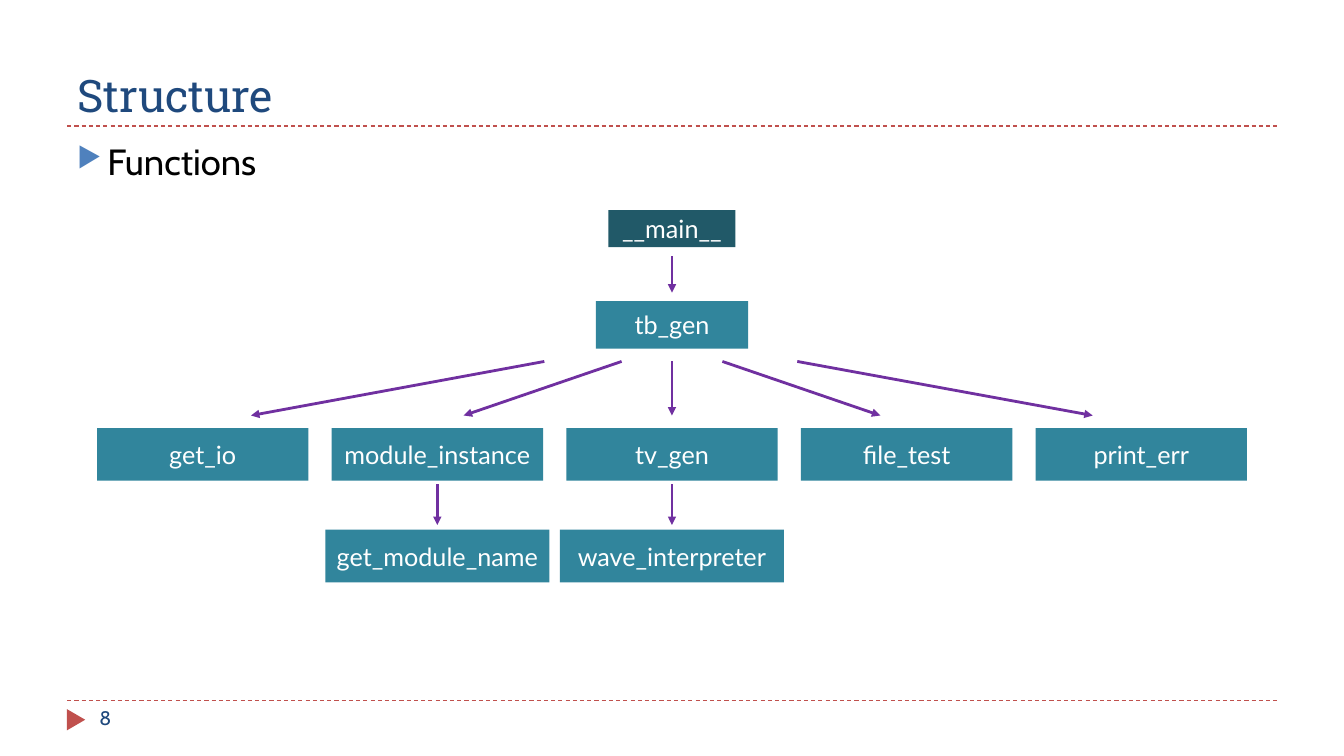
import pptx
import pptx.dml.color
import pptx.enum.dml
import pptx.enum.shapes
import pptx.enum.text
import pptx.oxml
import pptx.oxml.ns
import pptx.util

Pt = pptx.util.Pt
MSO_SHAPE = pptx.enum.shapes.MSO_SHAPE
ANCHOR = pptx.enum.text.MSO_ANCHOR
ALIGN = pptx.enum.text.PP_ALIGN

NAVY, RED, BLUE = "1F497D", "C0504D", "4F81BD"
DARK_TEAL, TEAL, PURPLE = "215968", "31859C", "7030A0"
CENTER = 480
PITCH = 167.6  # distance between the columns of the call tree


def color(value):
    return pptx.dml.color.RGBColor.from_string(value)


def xml(tag, **attrs):
    el = pptx.oxml.parse_xml(f"<a:{tag} {pptx.oxml.ns.nsdecls('a')}/>")
    for name, value in attrs.items():
        el.set(name, value)
    return el


def write(sp, text, font="Cabin", size=18, fill="FFFFFF",
          align=ALIGN.LEFT, anchor=ANCHOR.TOP):
    tf = sp.text_frame
    tf.word_wrap = True
    tf.vertical_anchor = anchor
    p = tf.paragraphs[0]
    p.alignment = align
    r = p.add_run()
    r.text = text
    r.font.name = font
    r.font.size = Pt(size)
    r.font.color.rgb = color(fill)
    return p


def add_text(s, text, x, y, w, h, **fmt):
    return write(s.shapes.add_textbox(Pt(x), Pt(y), Pt(w), Pt(h)), text, **fmt)


def add_bullet(p):
    p.space_before = Pt(6)
    pPr = p._p.get_or_add_pPr()
    pPr.set("marL", str(Pt(21.6)))
    pPr.set("indent", str(-Pt(21.6)))
    bu_color = xml("buClr")
    bu_color.append(xml("srgbClr", val=BLUE))
    pPr.extend([bu_color, xml("buSzPct", val="76000"), xml("buChar", char="▶")])


def add_shape(s, kind, x, y, w, h, fill):
    sp = s.shapes.add_shape(kind, Pt(x), Pt(y), Pt(w), Pt(h))
    sp.shadow.inherit = False
    sp.fill.solid()
    sp.fill.fore_color.rgb = color(fill)
    sp.line.fill.background()
    return sp


def add_function(s, name, center, y, w, h, fill=TEAL):
    sp = add_shape(s, MSO_SHAPE.RECTANGLE, center - w / 2, y, w, h, fill)
    write(sp, name, font="Lato", align=ALIGN.CENTER, anchor=ANCHOR.MIDDLE)


def add_line(s, x1, y1, x2, y2, stroke, width):
    c = s.shapes.add_connector(pptx.enum.shapes.MSO_CONNECTOR.STRAIGHT,
                               Pt(x1), Pt(y1), Pt(x2), Pt(y2))
    c.line.color.rgb = color(stroke)
    c.line.width = Pt(width)
    c._element.spPr.append(xml("effectLst"))
    return c


def add_rule(s, y):
    c = add_line(s, 48, y, 912, y, RED, 0.75)
    c.line.dash_style = pptx.enum.dml.MSO_LINE.DASH


def add_arrow(s, x1, y1, x2, y2):
    c = add_line(s, x1, y1, x2, y2, PURPLE, 2)
    c.line._get_or_add_ln().append(xml("tailEnd", type="triangle"))


def main():
    prs = pptx.Presentation()
    prs.slide_width, prs.slide_height = Pt(960), Pt(540)
    s = prs.slides.add_slide(prs.slide_layouts[6])

    # Frame of the page
    add_rule(s, 500.4)
    add_rule(s, 90)
    marker = add_shape(s, MSO_SHAPE.ISOSCELES_TRIANGLE, 46.8, 507.6, 15.1, 13, RED)
    marker.rotation = 90
    add_text(s, "8", 64, 500.4, 208, 28.8, size=14, fill=NAVY)

    # Title and bullet
    add_text(s, "Structure", 48, 12.2, 864, 77.8, font="Roboto Slab", size=32,
             fill=NAVY, anchor=ANCHOR.BOTTOM)
    add_bullet(add_text(s, "Functions", 48, 95.8, 864, 43.2, size=26, fill="000000"))

    # Top of the call tree
    add_function(s, "__main__", CENTER, 150, 90.7, 26.5, DARK_TEAL)
    add_arrow(s, CENTER, 183, CENTER, 209)
    add_function(s, "tb_gen", CENTER, 215, 108.7, 34)

    # Functions called by tb_gen: name, arrow start and end from the centre
    calls = [("get_io", -91.2, -300.7), ("module_instance", -36, -148.8),
             ("tv_gen", 0, 0), ("file_test", 36, 148.8), ("print_err", 89.5, 300.5)]
    for i, (name, start, end) in enumerate(calls):
        add_function(s, name, CENTER + (i - 2) * PITCH, 305.8, 151, 37.6)
        add_arrow(s, CENTER + start, 258.2, CENTER + end, 296.8)

    # Bottom level
    for name, center in [("get_module_name", CENTER - PITCH),
                         ("wave_interpreter", CENTER)]:
        add_arrow(s, center, 346, center, 375)
        add_function(s, name, center, 378.4, 160, 37.6)

    prs.save("out.pptx")


if __name__ == "__main__":
    main()
